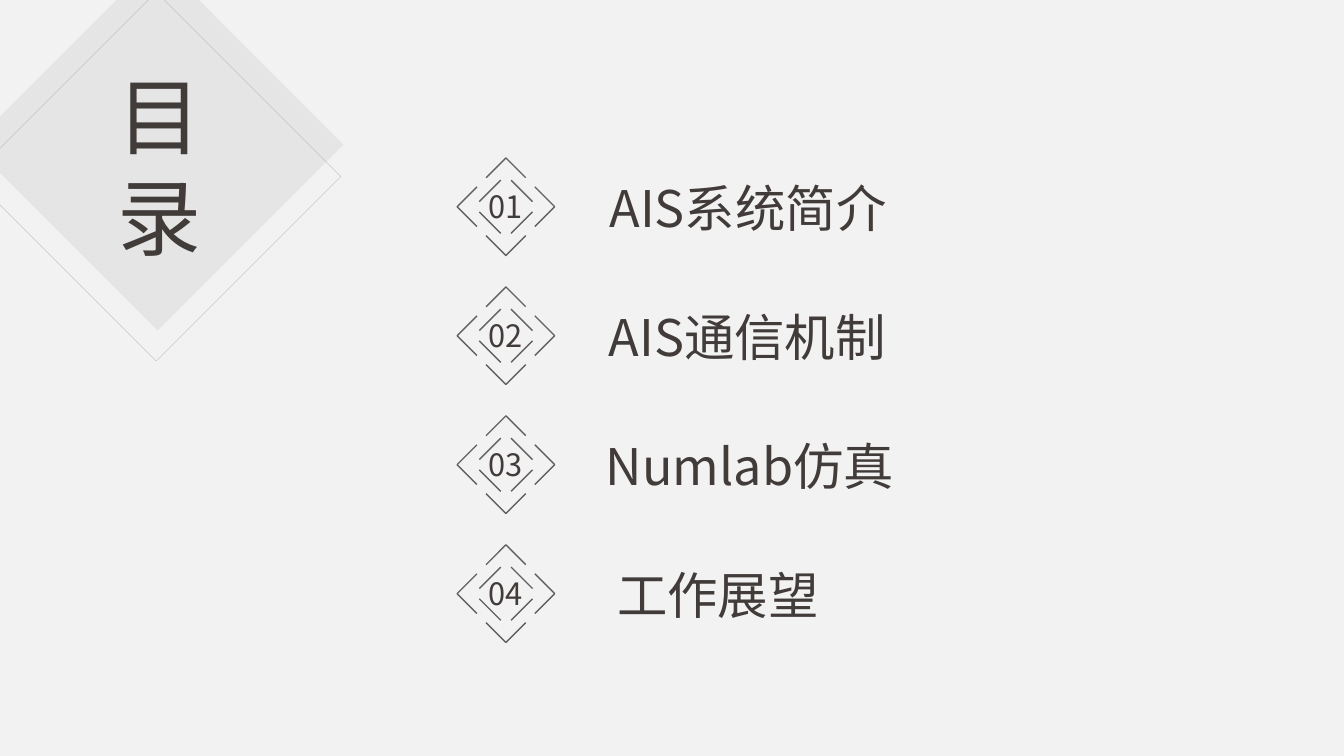
import pptx
import pptx.util
import pptx.dml.color
import pptx.enum.shapes
import pptx.enum.text
import pptx.oxml.ns
from lxml import etree

Cm, Pt = pptx.util.Cm, pptx.util.Pt
RGBColor = pptx.dml.color.RGBColor
MSO_SHAPE = pptx.enum.shapes.MSO_SHAPE
PP_ALIGN = pptx.enum.text.PP_ALIGN
qn = pptx.oxml.ns.qn

BACKGROUND = RGBColor(0xF2, 0xF2, 0xF2)
DIAMOND_FILL = RGBColor(0xA6, 0xA6, 0xA6)
DIAMOND_LINE = RGBColor(0x80, 0x80, 0x80)
ICON_LINE = RGBColor(0x61, 0x61, 0x61)
TEXT = RGBColor(0x41, 0x3B, 0x39)
FONT = "Noto Sans CJK SC"

# Entry text and its indent in cm
ENTRIES = [("AIS系统简介", 0.17), ("AIS通信机制", 0.15), ("Numlab仿真", 0.08), ("工作展望", 0.36)]
ICON_X, ICON_Y, PITCH = 12.75, 5.21, 3.25
FRAME = {
    "word_wrap": True,
    "auto_size": pptx.enum.text.MSO_AUTO_SIZE.NONE,
    "vertical_anchor": pptx.enum.text.MSO_ANCHOR.TOP,
}


def write(p, text, size, **paragraph_format):
    for name, value in paragraph_format.items():
        setattr(p, name, value)
    r = p.add_run()
    r.text = text
    for name, value in {"name": FONT, "size": Pt(size)}.items():
        setattr(r.font, name, value)
    r.font.color.rgb = TEXT
    etree.SubElement(r.font._element, qn("a:ea"), typeface=FONT)


def set_alpha(element, percent):
    color = element.find(".//" + qn("a:srgbClr"))
    etree.SubElement(color, qn("a:alpha"), val=str(percent * 1000))


prs = pptx.Presentation()
prs.slide_width, prs.slide_height = Cm(33.87), Cm(19.05)
s = prs.slides.add_slide(prs.slide_layouts[1])
s.background.fill.solid()
s.background.fill.fore_color.rgb = BACKGROUND
title, body = s.placeholders

# Corner diamonds: one filled, one outlined
sp = s.shapes.add_shape(MSO_SHAPE.DIAMOND, Cm(-0.71), Cm(-1.04), Cm(9.37), Cm(9.37))
sp.shadow.inherit = False
sp.fill.solid()
sp.fill.fore_color.rgb = DIAMOND_FILL
sp.line.fill.background()
set_alpha(sp.element.spPr.find(qn("a:solidFill")), 16)

sp = s.shapes.add_shape(MSO_SHAPE.DIAMOND, Cm(-0.71), Cm(-0.2), Cm(9.3), Cm(9.3))
sp.shadow.inherit = False
sp.fill.background()
sp.line.color.rgb = DIAMOND_LINE
sp.line.width = Pt(0.25)
set_alpha(sp.element.spPr.find(qn("a:ln")), 48)

# Title, brought in front of the diamonds
title.left, title.top, title.width, title.height = Cm(2.49), Cm(1.5), Cm(3.07), Cm(5.38)
title.element.getparent().append(title.element)
for name, value in FRAME.items():
    setattr(title.text_frame, name, value)
write(title.text_frame.paragraphs[0], "目录", 60, alignment=PP_ALIGN.CENTER)

# Agenda list, one fixed line per icon
body.left, body.top, body.width, body.height = Cm(15.19), Cm(2.73), Cm(10), Cm(4 * PITCH)
tf = body.text_frame
for name, value in {**FRAME, "margin_left": 0, "margin_top": 0, "margin_bottom": 0}.items():
    setattr(tf, name, value)
for i, (text, indent) in enumerate(ENTRIES):
    p = tf.paragraphs[0] if i == 0 else tf.add_paragraph()
    write(p, text, 36, alignment=PP_ALIGN.LEFT, space_before=Pt(0), line_spacing=Cm(PITCH))
    pPr = p._p.get_or_add_pPr()
    pPr.set("marL", str(Cm(indent)))
    pPr.set("indent", "0")
    etree.SubElement(pPr, qn("a:buNone"))

# Numbered icons: four chevrons around four strokes
for i in range(len(ENTRIES)):
    y = ICON_Y + i * PITCH
    icon = s.shapes.add_group_shape().shapes
    for cos, sin in [(1, 0), (0, 1), (-1, 0), (0, -1)]:
        corners = [(-0.5, -0.73), (0, -1.23), (0.5, -0.73), (0.13, -0.67), (0.67, -0.13)]
        points = [(Cm(ICON_X + a * cos - b * sin), Cm(y + a * sin + b * cos)) for a, b in corners]
        builder = icon.build_freeform(*points[0])
        builder.add_line_segments(points[1:3], close=False)
        chevron = builder.convert_to_shape()
        chevron.shadow.inherit = False
        chevron.fill.background()
        stroke = icon.add_connector(pptx.enum.shapes.MSO_CONNECTOR.STRAIGHT, *points[3], *points[4])
        for part in (chevron, stroke):
            part.line.color.rgb = ICON_LINE
            part.line.width = Pt(1)
        etree.SubElement(stroke.element.spPr, qn("a:effectLst"))
    sp = icon.add_textbox(Cm(ICON_X - 0.95), Cm(y - 0.61), Cm(1.9), Cm(1.19))
    sp.text_frame.word_wrap = True
    write(sp.text_frame.paragraphs[0], f"{i + 1:02}", 22, alignment=PP_ALIGN.CENTER)

prs.save("out.pptx")
